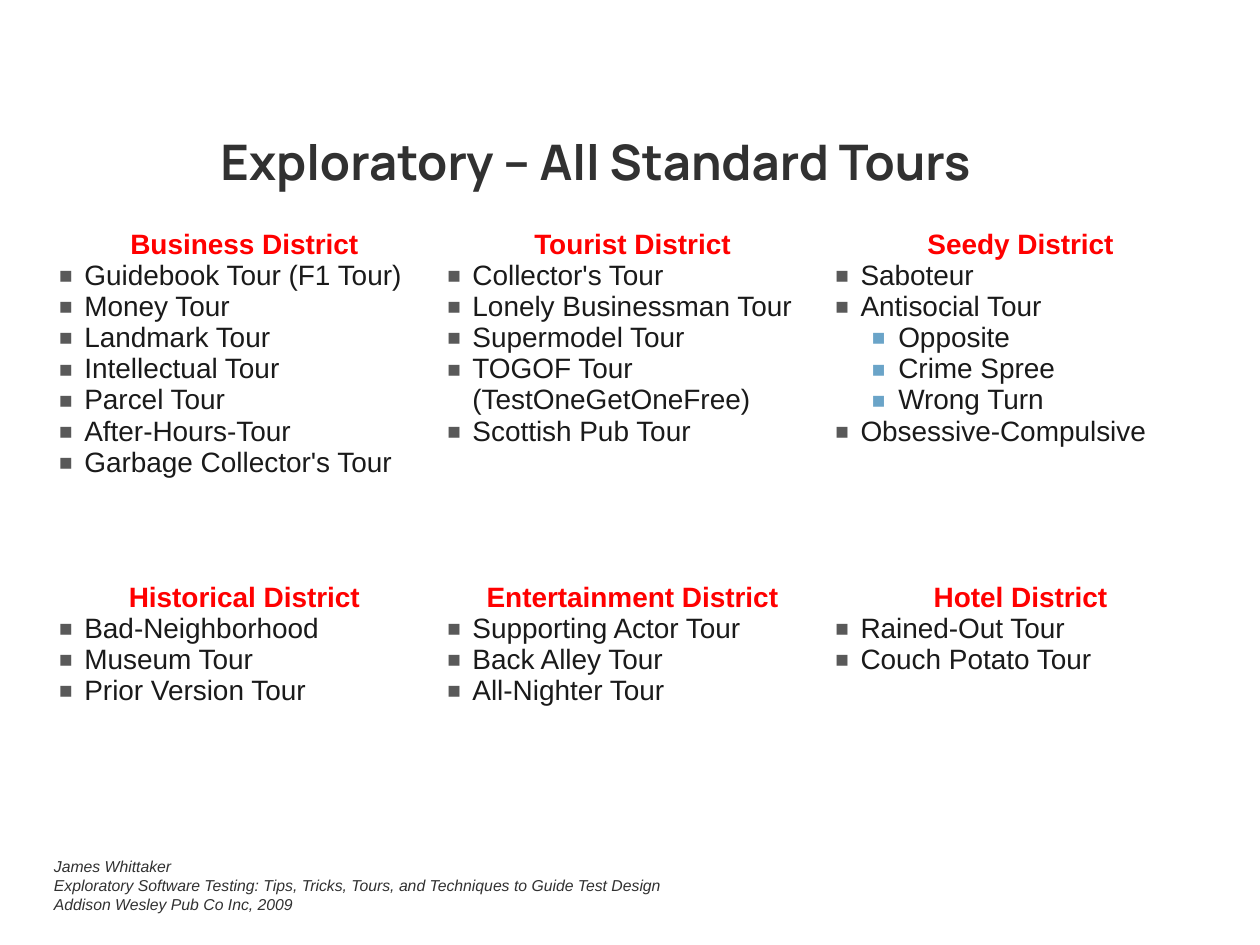
from lxml import etree
from pptx import Presentation
from pptx.dml.color import RGBColor
from pptx.enum.text import MSO_ANCHOR, PP_ALIGN
from pptx.oxml.ns import qn
from pptx.util import Inches, Pt

CENTER = PP_ALIGN.CENTER
TOP = MSO_ANCHOR.TOP
TITLE = {"name": "Manrope", "size": Pt(28), "bold": True}
HEADING = {"name": "Arial", "size": Pt(16), "bold": True}
ITEM = {"name": "Arial", "size": Pt(16), "bold": False}
SOURCE = {"name": "Arial", "size": Pt(9), "italic": True}
LEVELS = [(0.2, -0.2, "595959"), (0.5, -0.21, "6AA4C8")]
ROW_HEIGHTS = [2.8, 1.67]
COLUMN_WIDTH = 3.08
DISTRICTS = [
    [
        ("Business District", ["Guidebook Tour (F1 Tour)", "Money Tour", "Landmark Tour",
                               "Intellectual Tour", "Parcel Tour", "After-Hours-Tour",
                               "Garbage Collector's Tour"]),
        ("Tourist District", ["Collector's Tour", "Lonely Businessman Tour", "Supermodel Tour",
                              "TOGOF Tour (TestOneGetOneFree)", "Scottish Pub Tour"]),
        ("Seedy District", ["Saboteur", "Antisocial Tour",
                            ["Opposite", "Crime Spree", "Wrong Turn"],
                            "Obsessive-Compulsive"]),
    ],
    [
        ("Historical District", ["Bad-Neighborhood", "Museum Tour", "Prior Version Tour"]),
        ("Entertainment District", ["Supporting Actor Tour", "Back Alley Tour",
                                    "All-Nighter Tour"]),
        ("Hotel District", ["Rained-Out Tour", "Couch Potato Tour"]),
    ],
]
REFERENCE = [
    "James Whittaker",
    "Exploratory Software Testing: Tips, Tricks, Tours, and Techniques to Guide Test Design",
    "Addison Wesley Pub Co Inc, 2009",
]


def set_color(font, color):
    """Set a font colour from a hex string."""
    font.color.rgb = RGBColor.from_string(color)


def write(p, text, style, color, align=None):
    """Put one formatted run into a paragraph."""
    p.alignment = align
    r = p.add_run()
    r.text = text
    for name, value in style.items():
        setattr(r.font, name, value)
    set_color(r.font, color)


def next_paragraph(tf):
    """Return the empty first paragraph, or a new one."""
    first = tf.paragraphs[0]
    return tf.add_paragraph() if first.runs else first


def add_bullet(p, level):
    """Give a paragraph the square bullet and indent of its level."""
    left, hanging, color = LEVELS[level]
    p.level = level
    pPr = p._p.get_or_add_pPr()
    pPr.set("marL", str(Inches(left)))
    pPr.set("indent", str(Inches(hanging)))
    bullet_color = etree.SubElement(pPr, qn("a:buClr"))
    etree.SubElement(bullet_color, qn("a:srgbClr"), val=color)
    etree.SubElement(pPr, qn("a:buSzPct"), val="80000")
    etree.SubElement(pPr, qn("a:buFont"), typeface="Arial")
    etree.SubElement(pPr, qn("a:buChar"), char="■")


def add_items(tf, items, level=0):
    """Write bulleted items; a nested list goes one level deeper."""
    for item in items:
        if isinstance(item, list):
            add_items(tf, item, level + 1)
        else:
            p = next_paragraph(tf)
            add_bullet(p, level)
            write(p, item, ITEM, "1A1A1A")


def add_text(s, box, lines, style, color, align=None, inset=0.05):
    """Add a wrapped text box with one paragraph per line."""
    tf = s.shapes.add_textbox(*map(Inches, box)).text_frame
    tf.word_wrap = True
    tf.vertical_anchor = TOP
    tf.margin_top = tf.margin_bottom = Inches(inset)
    for line in lines:
        write(next_paragraph(tf), line, style, color, align)


def add_districts(s):
    """Add the table of districts with their tours."""
    rows, cols = len(DISTRICTS), len(DISTRICTS[0])
    size = (COLUMN_WIDTH * cols, sum(ROW_HEIGHTS))
    frame = s.shapes.add_table(rows, cols, *map(Inches, (0.4, 1.78, *size)))
    table = frame.table
    table.first_row = table.horz_banding = False
    table._tbl.tblPr.find(qn("a:tableStyleId")).text = "{2D5ABB26-0587-4C30-8999-92F81FD0307C}"
    for column in table.columns:
        column.width = Inches(COLUMN_WIDTH)
    for i, row in enumerate(DISTRICTS):
        table.rows[i].height = Inches(ROW_HEIGHTS[i])
        for j, (heading, tours) in enumerate(row):
            cell = table.cell(i, j)
            cell.fill.background()
            cell.margin_left = cell.margin_right = Inches(0.07)
            cell.margin_top = cell.margin_bottom = Inches(0.04)
            tf = cell.text_frame
            write(next_paragraph(tf), heading, HEADING, "FF0000", CENTER)
            add_items(tf, tours)


def main():
    """Build the slide and save it."""
    prs = Presentation()
    prs.slide_width, prs.slide_height = Inches(10), Inches(7.5)
    s = prs.slides.add_slide(prs.slide_layouts[6])
    add_text(s, (1.35, 0.94, 6.75, 0.94), ["Exploratory – All Standard Tours"],
             TITLE, "313131", CENTER, 0.1)
    add_districts(s)
    add_text(s, (0.33, 6.75, 6.64, 0.56), REFERENCE, SOURCE, "313131")
    prs.save("out.pptx")


if __name__ == "__main__":
    main()
